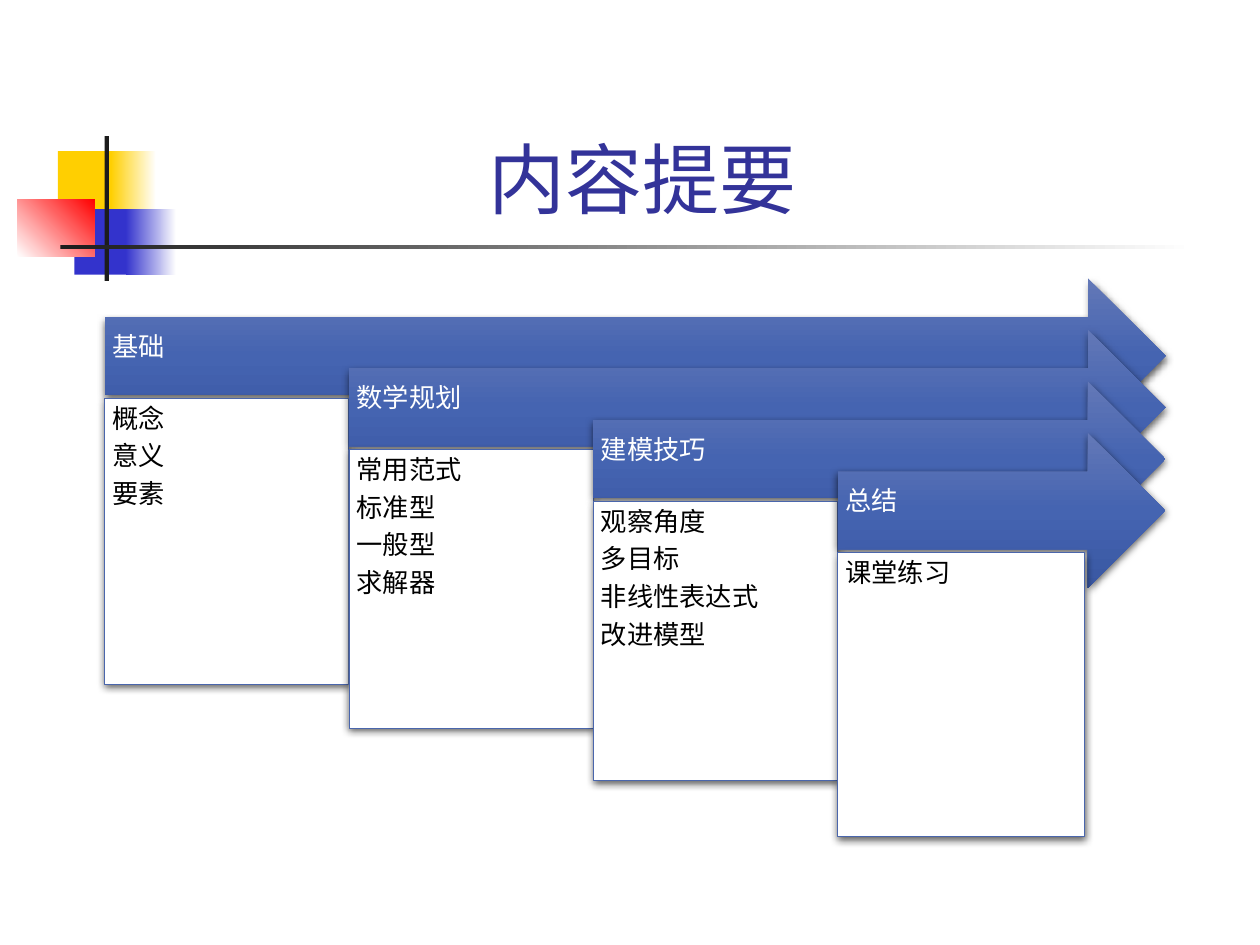
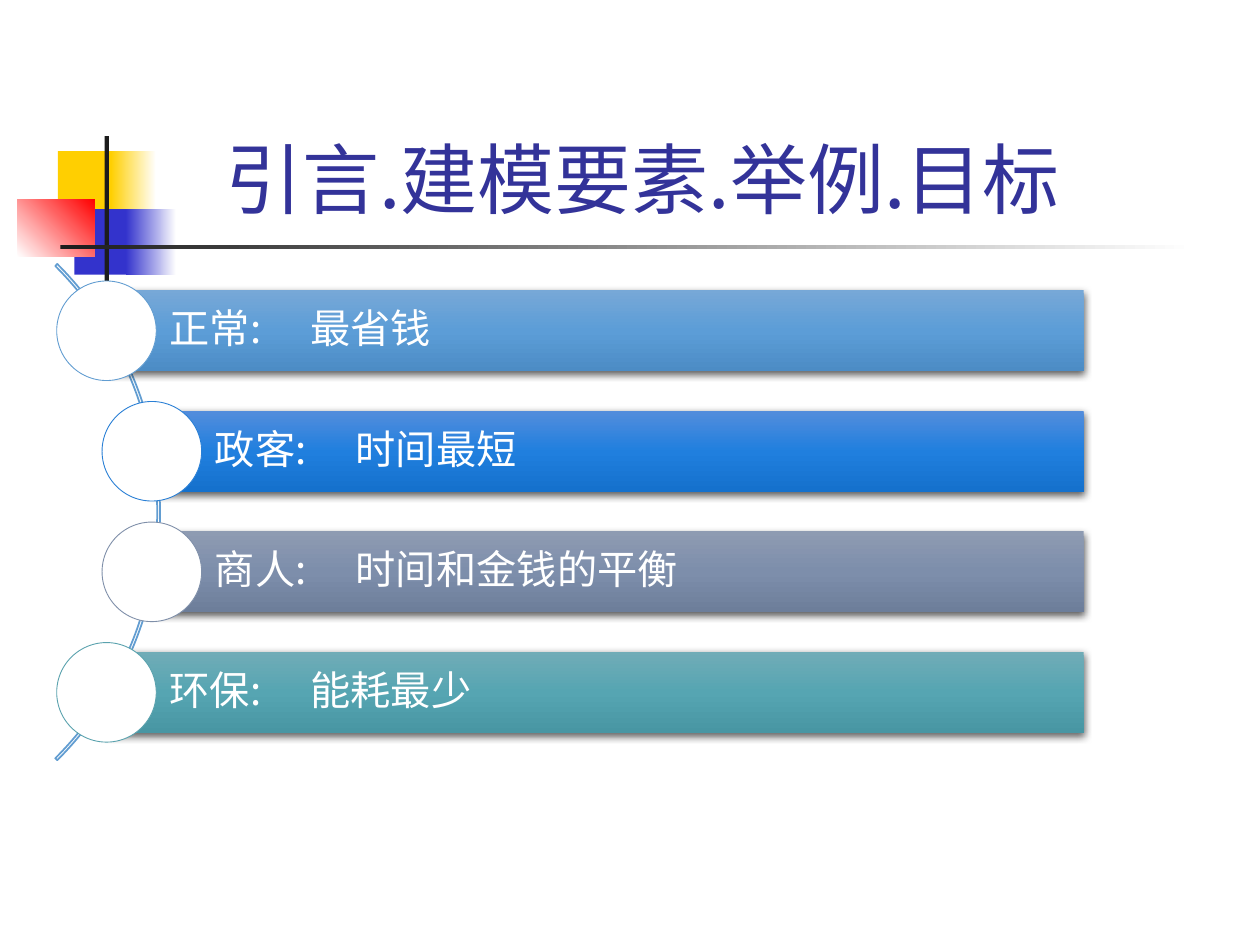
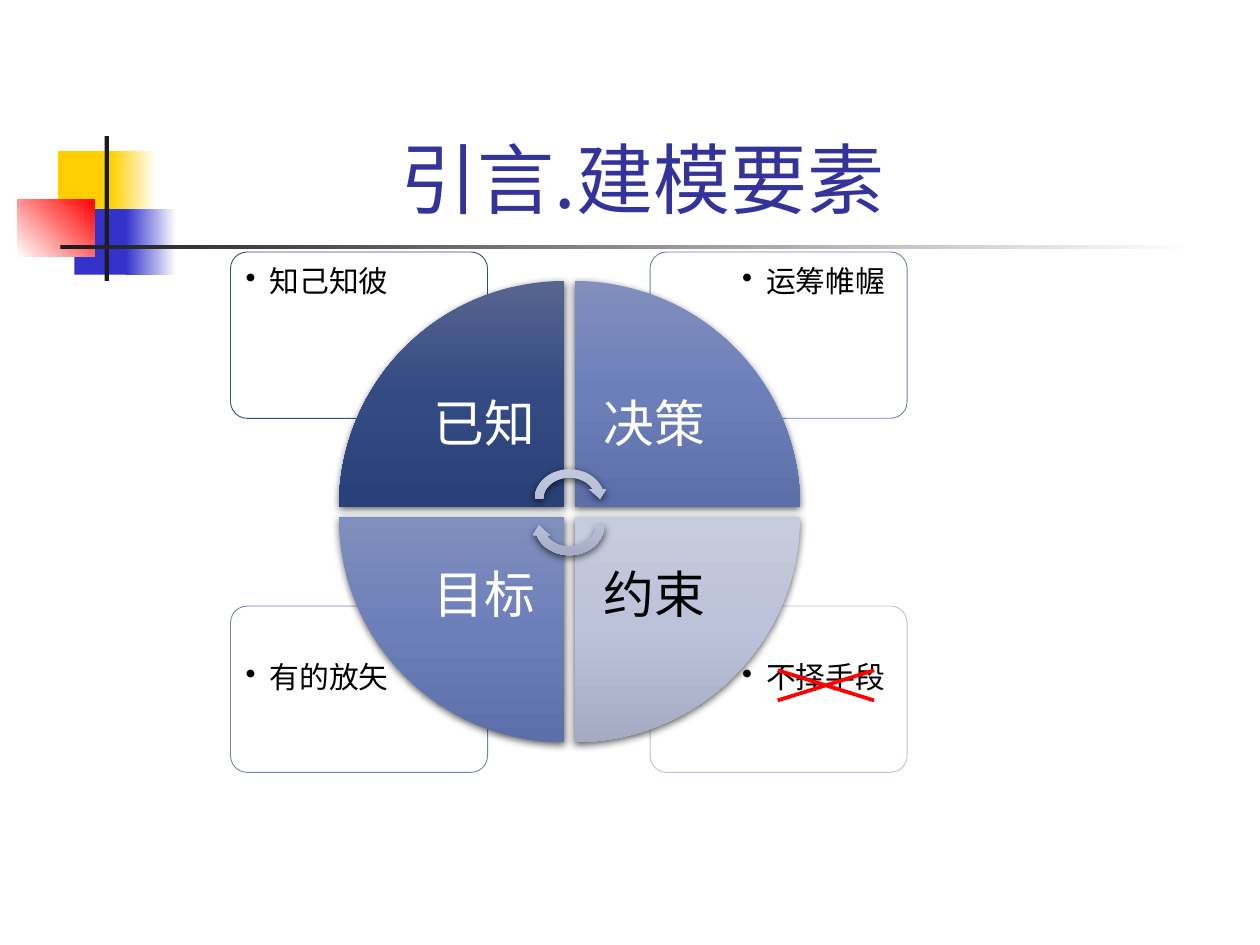
import collections

import lxml.etree
import pptx
import pptx.dml.color
import pptx.enum.shapes
import pptx.enum.text
import pptx.oxml.ns
import pptx.util

SHAPE = pptx.enum.shapes.MSO_SHAPE
ANCHOR = pptx.enum.text.MSO_ANCHOR
ALIGN = pptx.enum.text.PP_ALIGN
Pt = pptx.util.Pt
qn = pptx.oxml.ns.qn

FONT = "Noto Sans CJK SC"
COLS, ROWS = 100, 75
CELL = pptx.util.Inches(10) // COLS

COLORS = {
    "white": "FFFFFF", "black": "000000", "ink": "1C1C1C", "title": "333399",
    "yellow": "FFCF01", "blue": "3333CC", "red": "FF0000", "panel": "4A66AC",
    "arc": "629DD1", "sky": "629DD1", "azure": "297FD5", "slate": "7F8FA9",
    "teal": "5AA2AE", "navy": "374B7F", "iris": "7081B6", "mist": "BDC3D8",
}
GRADIENTS = {
    "panel": ("6378B7", "4564B1", "3957A2"),
    "sky": ("77A8D7", "5C9DD7", "4C8CC5"),
    "azure": ("538DDC", "207FDE", "1571CD"),
    "slate": ("8E9BB2", "7D8EAB", "6D7E9A"),
    "teal": ("70ACB7", "56A5B2", "4896A3"),
    "navy": ("58658F", "334A83", "2A4078"),
    "iris": ("818FBE", "6C7FB9", "5C6FA9"),
    "mist": ("C6CBDD", "BCC2D9", "A5ABC3"),
    "cycle": ("C3C8DC", "B8BFD8", "A2A8C2"),
}

Stage = collections.namedtuple("Stage", "name topics height width")
Goal = collections.namedtuple("Goal", "who aim color shift")
Element = collections.namedtuple("Element", "name note color text col row turn")


class Box(collections.namedtuple("Box", "x y w h")):
    def sub(self, x, y, w, h):
        return Box(self.x + x, self.y + y, w, h)

    def emu(self):
        return [round(v * CELL) for v in self]


def rgb(name):
    return pptx.dml.color.RGBColor.from_string(COLORS[name])


def xml_child(parent, tag, **attrs):
    return lxml.etree.SubElement(parent, qn(tag), {k: str(v) for k, v in attrs.items()})


def gradient(sp, stops, angle):
    sp.fill.gradient()
    sp.fill.gradient_angle = -angle % 360
    grad = sp.element.spPr.find(qn("a:gradFill"))
    grad.set("rotWithShape", "0")
    stop_list = grad.find(qn("a:gsLst"))
    stop_list.clear()
    for i, color in enumerate(stops):
        stop = xml_child(stop_list, "a:gs", pos=100000 * i // (len(stops) - 1))
        xml_child(stop, "a:srgbClr", val=color)


def shadow(sp):
    effects = sp.element.spPr.find(qn("a:effectLst"))
    outer = xml_child(effects, "a:outerShdw", blurRad=Pt(4.5), dist=Pt(1.5),
                      dir=5400000, algn="ctr", rotWithShape=0)
    color = xml_child(outer, "a:srgbClr", val=COLORS["black"])
    xml_child(color, "a:alpha", val=63000)


def add_shape(slide, kind, box, fill=None, stops=None, angle=90, line=None,
              weight=0.5, shaded=False, adj=()):
    sp = slide.shapes.add_shape(kind, *box.emu())
    sp.shadow.inherit = False
    for i, value in enumerate(adj):
        sp.adjustments[i] = value
    if stops:
        gradient(sp, stops, angle)
    elif fill:
        sp.fill.solid()
        sp.fill.fore_color.rgb = rgb(fill)
    else:
        sp.fill.background()
    if line:
        sp.line.color.rgb = rgb(line)
        sp.line.width = Pt(weight)
    else:
        sp.line.fill.background()
    if shaded:
        shadow(sp)
    return sp


def write(sp, lines, size, color, insets, anchor=ANCHOR.TOP, align=ALIGN.LEFT,
          spacing=0.9, after=35, bullet=False, tab=None):
    tf = sp.text_frame
    tf.word_wrap = True
    tf.vertical_anchor = anchor
    tf.margin_left, tf.margin_top, tf.margin_right, tf.margin_bottom = (
        round(v * CELL) for v in insets)
    for i, line in enumerate(lines):
        p = tf.paragraphs[0] if i == 0 else tf.add_paragraph()
        p.alignment = align
        p.line_spacing = spacing
        props = p._p.get_or_add_pPr()
        if after:
            xml_child(xml_child(props, "a:spcAft"), "a:spcPct", val=after * 1000)
        if bullet:
            indent = round(1.9 * CELL)
            props.set("marL", str(indent))
            props.set("indent", str(-indent))
            xml_child(props, "a:buChar", char="•")
        if tab:
            position = round(tab * CELL)
            props.set("defTabSz", str(position))
            xml_child(xml_child(props, "a:tabLst"), "a:tab", pos=position, algn="l")
        r = p.add_run()
        r.text = line
        r.font.size = Pt(size)
        r.font.color.rgb = rgb(color)
        r.font.name = FONT
        xml_child(r.font._element, "a:ea", typeface=FONT)


def add_text(slide, box, *args, **kwargs):
    write(slide.shapes.add_textbox(*box.emu()), *args, **kwargs)


def draw_emblem(slide, box):
    def fade(*names):
        return [COLORS[n] for n in names]

    parts = [
        ((3.2, 1.2, 4.8, 5.2), {"fill": "yellow"}),
        ((7.4, 1.2, 3.6, 5.2), {"stops": fade("yellow", "white")}),
        ((4.5, 5.8, 4.6, 5.2), {"fill": "blue"}),
        ((8.6, 5.8, 4, 5.2), {"stops": fade("blue", "white")}),
        ((0, 5, 6.1, 4.6), {"stops": fade("white", "red"), "angle": 315}),
        ((6.9, 0, 0.35, 11.5), {"fill": "ink"}),
        ((3.4, 8.65, 90, 0.35), {"stops": fade("ink", "white")}),
    ]
    for place, style in parts:
        add_shape(slide, SHAPE.RECTANGLE, box.sub(*place), **{"angle": 0, **style})


def titled_slide(prs, title):
    slide = prs.slides.add_slide(prs.slide_layouts[6])
    draw_emblem(slide, Box(1.4, 10.8, 93.4, 11.5))
    add_text(slide, Box(4.3, 2.3, 93.4, 16), [title], 44, "title", (1, 0.5, 1, 0.5),
             anchor=ANCHOR.BOTTOM, align=ALIGN.CENTER, spacing=1.0, after=0)
    return slide


def draw_stages(slide, box, stages):
    step_x, step_y, arrow_h, panel_y = 19.4, 4.09, 12.3, 9.5
    for i, stage in enumerate(stages):
        x, y = i * step_x, i * step_y
        arrow = add_shape(slide, SHAPE.RIGHT_ARROW, box.sub(x, y, box.w - x, arrow_h),
                          stops=GRADIENTS["panel"], shaded=True, adj=(0.5, 0.5))
        write(arrow, [stage.name], 15, "white", (0.6, 0.6, 2.8, 1.9), ANCHOR.MIDDLE)
        panel = add_shape(slide, SHAPE.RECTANGLE,
                          box.sub(x, y + panel_y, stage.width, stage.height),
                          fill="white", line="panel", shaded=True)
        write(panel, stage.topics, 15, "black", [0.6] * 4)


def draw_goals(slide, box, goals):
    disc, bar_h = 7.9, 6.4
    pitch = (box.h - disc) / (len(goals) - 1)
    add_shape(slide, SHAPE.BLOCK_ARC, box.sub(-47.5, -9.5, 55.7, 55.7),
              line="arc", weight=1, adj=(189, 27, 0.004))
    for i, goal in enumerate(goals):
        x, y = goal.shift, i * pitch
        bar_x = x + disc / 2
        bar = add_shape(slide, SHAPE.RECTANGLE,
                        box.sub(bar_x, y + (disc - bar_h) / 2, box.w - bar_x, bar_h),
                        stops=GRADIENTS[goal.color], shaded=True)
        write(bar, [f"{goal.who}:\t{goal.aim}"], 23, "white", (5, 0.6, 0.6, 0.6),
              ANCHOR.MIDDLE, tab=11.18)
        add_shape(slide, SHAPE.OVAL, box.sub(x, y, disc, disc),
                  fill="white", line=goal.color)


def draw_card(slide, box, element):
    w, h, note_w, note_h, pad = 20.4, 13.2, 13.7, 9.3, 0.3
    card = box.sub(element.col * (box.w - w), element.row * (box.h - h), w, h)
    sp = add_shape(slide, SHAPE.ROUNDED_RECTANGLE, card, fill="white",
                   line=element.color, adj=(0.1,))
    xml_child(sp.element.spPr.find(qn("a:solidFill"))[0], "a:alpha", val=90000)
    note = card.sub(w - note_w - pad if element.col else pad,
                    h - note_h - pad if element.row else pad, note_w, note_h)
    add_text(slide, note, [element.note], 17, "black", [0.9] * 4, after=15, bullet=True)


def draw_wedge(slide, box, element):
    side, label, pitch = 17.9, 12.7, 18.7
    wedge = box.sub(8.6 + element.col * pitch, 2.3 + element.row * pitch, side, side)
    sp = add_shape(slide, SHAPE.PIE_WEDGE, wedge, stops=GRADIENTS[element.color],
                   shaded=True)
    sp.rotation = element.turn
    inner = side - label
    add_text(slide, wedge.sub(inner * (1 - element.col), inner * (1 - element.row),
                              label, label),
             [element.name], 29, element.text, [2.3] * 4, ANCHOR.MIDDLE, ALIGN.CENTER)


def draw_cycle(slide, box, elements):
    for element in reversed(elements):
        draw_card(slide, box, element)
    for element in elements:
        draw_wedge(slide, box, element)
    for y, turn in ((16.9, 0), (19, 180)):
        arrow = add_shape(slide, SHAPE.CIRCULAR_ARROW, box.sub(23.8, y, 6.2, 5.4),
                          stops=GRADIENTS["cycle"], shaded=True)
        arrow.rotation = turn
    add_shape(slide, SHAPE.MATH_MULTIPLY, box.sub(39.9, 32.1, 14.7, 4.6),
              fill="red", adj=(0.065,))


def main():
    prs = pptx.Presentation()
    prs.slide_width, prs.slide_height = COLS * CELL, ROWS * CELL

    draw_stages(titled_slide(prs, "内容提要"), Box(8.3, 22.1, 84.2, 44.2), [
        Stage("基础", ["概念", "意义", "要素"], 22.7, 19.4),
        Stage("数学规划", ["常用范式", "标准型", "一般型", "求解器"], 22.1, 19.4),
        Stage("建模技巧", ["观察角度", "多目标", "非线性表达式", "改进模型"], 22.2, 19.4),
        Stage("总结", ["课堂练习"], 22.5, 19.6),
    ])
    draw_goals(titled_slide(prs, "引言.建模要素.举例.目标"), Box(4.5, 22.3, 81.5, 36.6), [
        Goal("正常", "最省钱", "sky", 0),
        Goal("政客", "时间最短", "azure", 3.6),
        Goal("商人", "时间和金钱的平衡", "slate", 3.6),
        Goal("环保", "能耗最少", "teal", 0),
    ])
    draw_cycle(titled_slide(prs, "引言.建模要素"), Box(18.3, 20, 53.7, 41.3), [
        Element("已知", "知己知彼", "navy", "white", 0, 0, 0),
        Element("决策", "运筹帷幄", "iris", "white", 1, 0, 90),
        Element("约束", "不择手段", "mist", "black", 1, 1, 180),
        Element("目标", "有的放矢", "iris", "white", 0, 1, 270),
    ])
    prs.save("out.pptx")


if __name__ == "__main__":
    main()
